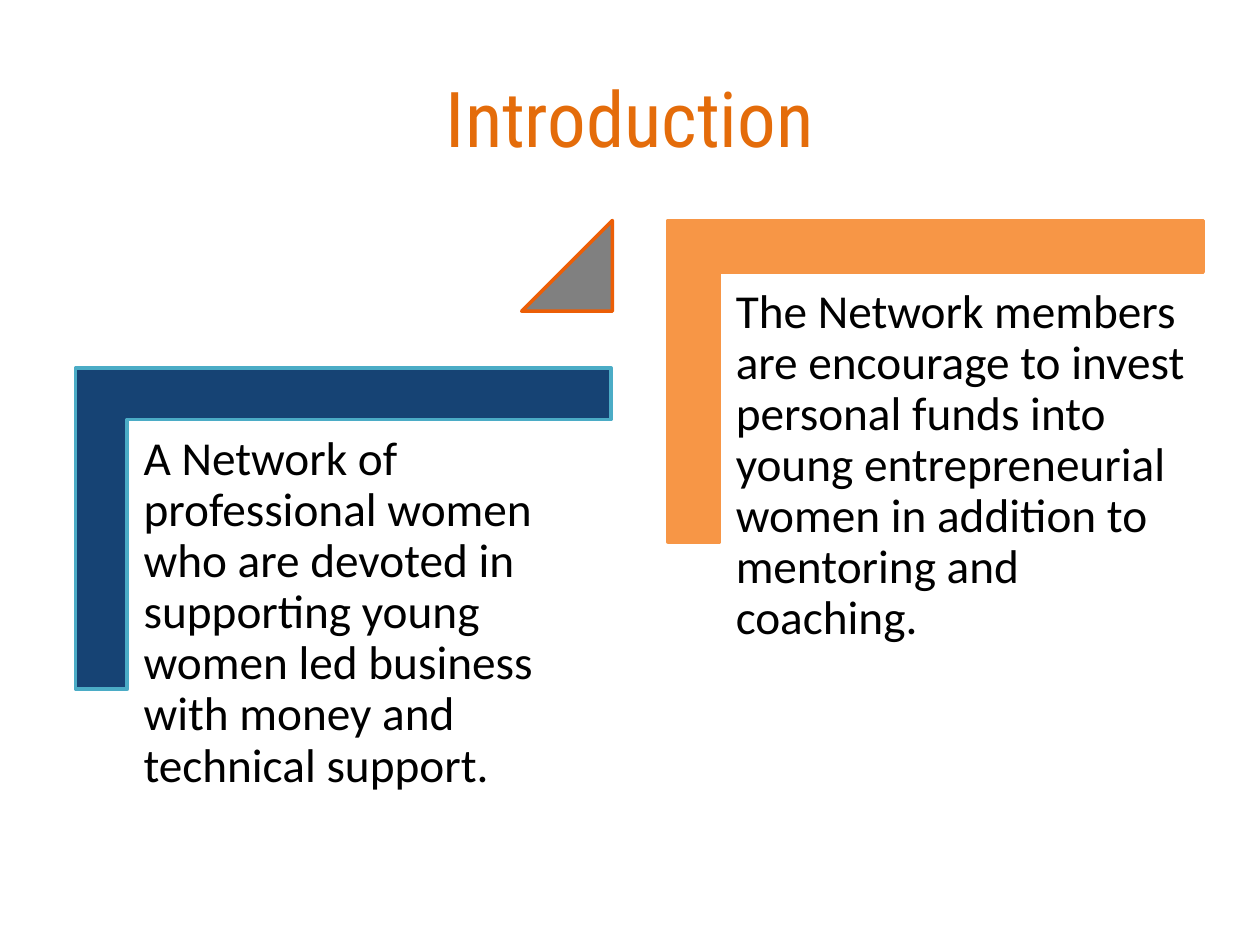
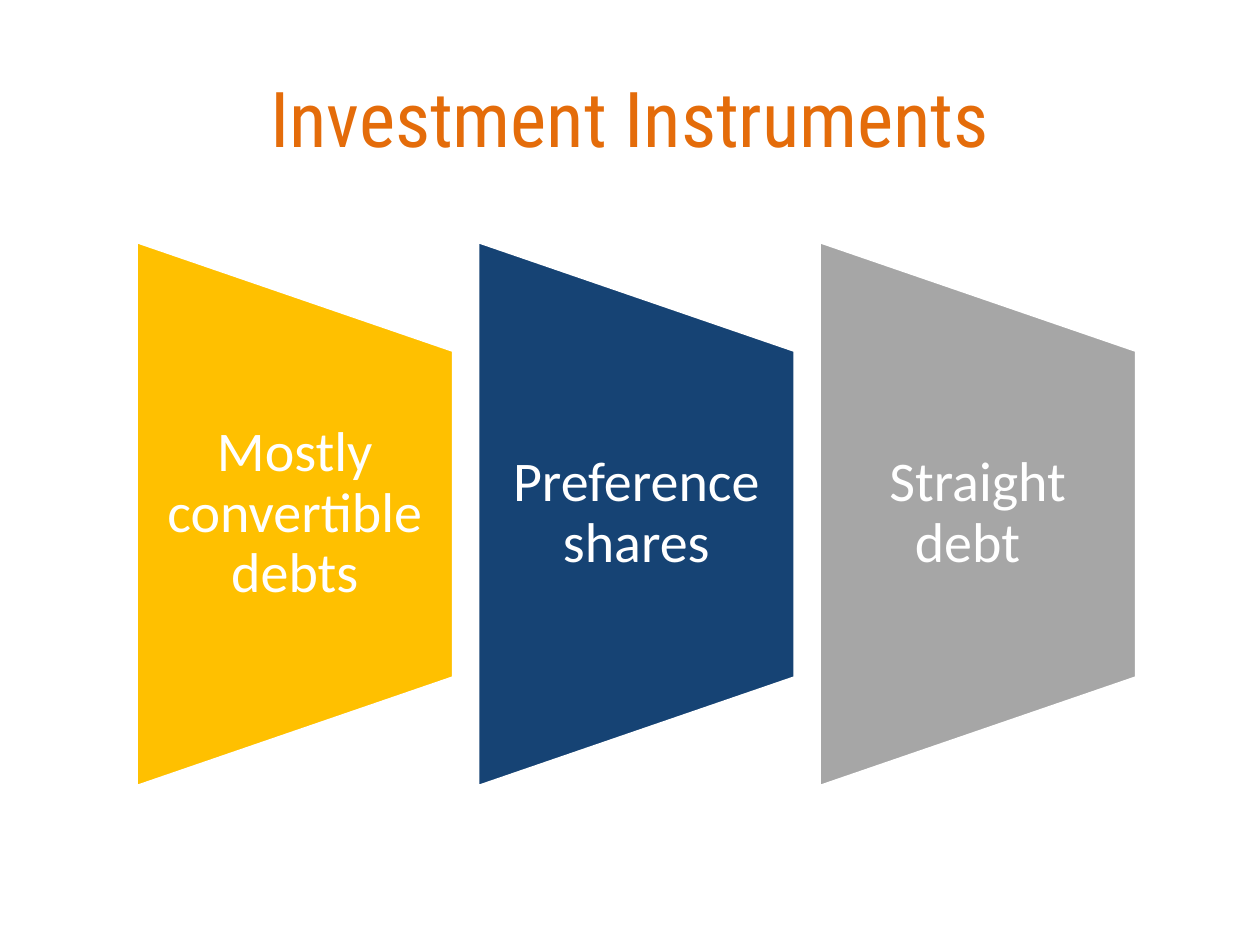
from pptx import Presentation
from pptx.dml.color import RGBColor
from pptx.enum import shapes, text
from pptx.util import Inches, Pt

ORANGE, NAVY, WHITE, BLACK = "E46C0A", "164374", "FFFFFF", "000000"
TITLE_FONT, BODY_FONT = "Roboto Condensed", "Calibri"
TITLE_BOX = (0.5, 0.3, 9, 1.25)

STEPS = [
    ("A Network of professional women who are devoted in supporting young women "
     "led business with money and technical support.", NAVY, "4BACC6"),
    ("The Network members are encourage to invest personal funds into young "
     "entrepreneurial women in addition to mentoring and coaching.", "F79646", "F79646"),
]
STEP_LEFT, STEP_TOP, STEP_RIGHT, STEP_RISE = 0.6, 2.92, 4.7, 1.17
CORNER_WIDTH, CORNER_HEIGHT, CORNER_BAND = 4.25, 2.55, 0.41
TRIANGLE_BOX = (4.14, 1.75, 0.72, 0.72)

INSTRUMENTS = [
    ("Mostly convertible debts", "FFC000"),
    ("Preference shares", NAVY),
    ("Straight debt\t", "A6A6A6"),
]
INSTRUMENT_LEFT, INSTRUMENT_PITCH = 1.08, 2.71
INSTRUMENT_WIDTH, INSTRUMENT_HEIGHT, INSTRUMENT_MIDDLE = 2.52, 4.33, 4.08


def color(value):
    return RGBColor.from_string(value)


def inches(lengths):
    return [Inches(length) for length in lengths]


def write(frame, words, size, font=BODY_FONT, fill=BLACK, align=text.PP_ALIGN.LEFT,
          anchor=text.MSO_ANCHOR.TOP, margins=None, line_spacing=None):
    frame.word_wrap = True
    frame.vertical_anchor = anchor
    if margins:
        (frame.margin_left, frame.margin_top,
         frame.margin_right, frame.margin_bottom) = inches(margins)
    paragraph = frame.paragraphs[0]
    paragraph.alignment = align
    if line_spacing:
        paragraph.line_spacing = line_spacing
    run = paragraph.add_run()
    run.text = words
    run.font.name = font
    run.font.size = Pt(size)
    run.font.color.rgb = color(fill)


def add_titled_slide(presentation, title):
    slide = presentation.slides.add_slide(presentation.slide_layouts[5])
    placeholder = slide.shapes.title
    placeholder.left, placeholder.top, placeholder.width, placeholder.height = inches(TITLE_BOX)
    write(placeholder.text_frame, title, 44, font=TITLE_FONT, fill=ORANGE,
          align=text.PP_ALIGN.CENTER, anchor=text.MSO_ANCHOR.MIDDLE)
    return slide


def paint(shape, fill, line):
    shape.shadow.inherit = False
    shape.fill.solid()
    shape.fill.fore_color.rgb = color(fill)
    shape.line.color.rgb = color(line)
    shape.line.width = Pt(2)


def add_corner(slide, left, top, fill, line):
    right, bottom = left + CORNER_WIDTH, top + CORNER_HEIGHT
    inner_left, inner_top = left + CORNER_BAND, top + CORNER_BAND
    outline = [(right, top), (right, inner_top), (inner_left, inner_top),
               (inner_left, bottom), (left, bottom)]
    builder = slide.shapes.build_freeform(Inches(left), Inches(top))
    builder.add_line_segments([inches(point) for point in outline], close=True)
    paint(builder.convert_to_shape(), fill, line)


def add_text(slide, box, words, size, **style):
    frame = slide.shapes.add_textbox(*inches(box)).text_frame
    write(frame, words, size, line_spacing=0.9, **style)


def build_introduction(presentation):
    slide = add_titled_slide(presentation, "Introduction")
    for index, (words, fill, line) in enumerate(STEPS):
        left = STEP_LEFT + index * STEP_RIGHT
        top = STEP_TOP - index * STEP_RISE
        add_corner(slide, left, top, fill, line)
        add_text(slide, (left + 0.43, top + 0.42, 3.84, 3.36), words, 27,
                 margins=(0.11, 0.11, 0.11, 0.11))
    triangle = slide.shapes.add_shape(shapes.MSO_SHAPE.ISOSCELES_TRIANGLE, *inches(TRIANGLE_BOX))
    triangle.adjustments[0] = 1
    paint(triangle, "808080", "EC5E06")


def build_instruments(presentation):
    slide = add_titled_slide(presentation, "Investment Instruments")
    for index, (words, fill) in enumerate(INSTRUMENTS):
        left = INSTRUMENT_LEFT + index * INSTRUMENT_PITCH
        box = (left + (INSTRUMENT_WIDTH - INSTRUMENT_HEIGHT) / 2,
               INSTRUMENT_MIDDLE - INSTRUMENT_WIDTH / 2,
               INSTRUMENT_HEIGHT, INSTRUMENT_WIDTH)
        panel = slide.shapes.add_shape(shapes.MSO_SHAPE.FLOWCHART_MANUAL_OPERATION, *inches(box))
        panel.rotation = 270
        paint(panel, fill, WHITE)
        add_text(slide, (left, INSTRUMENT_MIDDLE - 1.3, INSTRUMENT_WIDTH, 2.6), words, 32,
                 fill=WHITE, align=text.PP_ALIGN.CENTER, anchor=text.MSO_ANCHOR.MIDDLE,
                 margins=(0.22, 0, 0.22, 0))


def main():
    presentation = Presentation()
    presentation.slide_width, presentation.slide_height = Inches(10), Inches(7.5)
    build_introduction(presentation)
    build_instruments(presentation)
    presentation.save("out.pptx")


if __name__ == "__main__":
    main()
